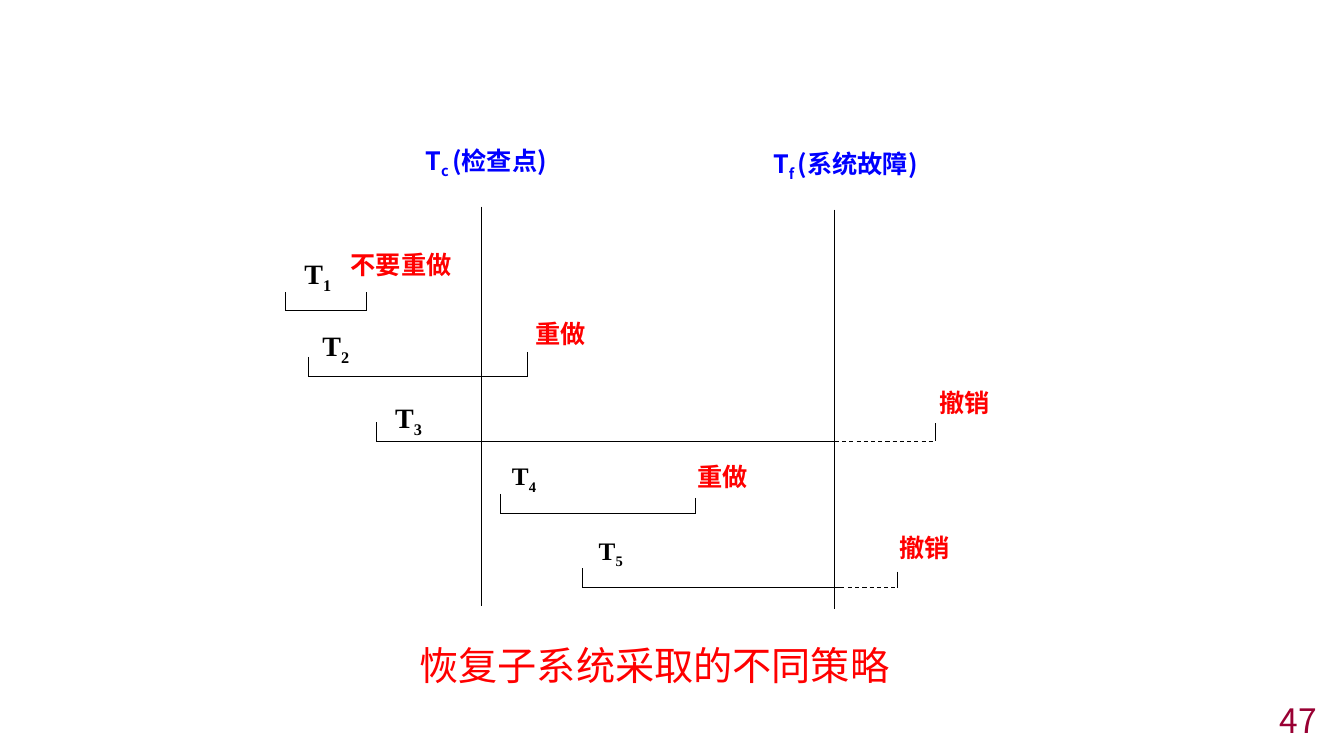
import pptx
import pptx.dml.color
import pptx.enum.dml
import pptx.enum.shapes
import pptx.enum.text
import pptx.oxml.ns
import pptx.util
from lxml import etree

SANS = "Noto Sans CJK SC"
SERIF = "Times New Roman"
BLACK, BLUE, RED, MAROON = "000000", "0000FF", "FF0000", "990033"
ALIGN = pptx.enum.text.PP_ALIGN
ANCHOR = pptx.enum.text.MSO_ANCHOR


def px(length):
    """One px is a hundredth of an inch."""
    return pptx.util.Emu(length * 9144)


def colour(value):
    return pptx.dml.color.RGBColor.from_string(value)


class Diagram:
    def __init__(self, slide):
        self.shapes = slide.shapes

    def line(self, x1, y1, x2, y2, width=0.75, dashed=False):
        connector = self.shapes.add_connector(
            pptx.enum.shapes.MSO_CONNECTOR.STRAIGHT, px(x1), px(y1), px(x2), px(y2))
        connector.line.color.rgb = colour(BLACK)
        connector.line.width = pptx.util.Pt(width)
        if dashed:
            connector.line.dash_style = pptx.enum.dml.MSO_LINE.DASH
        etree.SubElement(connector._element.spPr, pptx.oxml.ns.qn("a:effectLst"))

    def text(self, box, parts, size=18, font=SANS, fill=RED, bold=True,
             align=ALIGN.LEFT, anchor=ANCHOR.TOP):
        """Write parts in a box; every second part is a subscript."""
        frame = self.shapes.add_textbox(*map(px, box)).text_frame
        frame.word_wrap = True
        frame.vertical_anchor = anchor
        paragraph = frame.paragraphs[0]
        paragraph.alignment = align
        for position, part in enumerate(parts):
            run = paragraph.add_run()
            run.text = part
            if position % 2:
                run._r.get_or_add_rPr().set("baseline", "-25000")
        style = paragraph.font
        style.name, style.size, style.bold = font, pptx.util.Pt(size), bold
        style.color.rgb = colour(fill)
        east_asian = etree.SubElement(style._element, pptx.oxml.ns.qn("a:ea"))
        east_asian.set("typeface", font)

    def transaction(self, start, end, base, start_top, end_top, solid_end, dash_start):
        """Draw a time span with a tick at each end, dashed after the failure."""
        self.line(start, start_top, start, base)
        self.line(end, end_top, end, base)
        self.line(start, base, solid_end, base)
        if dash_start < end:
            self.line(dash_start, base, end, base, dashed=True)


def main():
    deck = pptx.Presentation()
    deck.slide_width, deck.slide_height = px(1333), px(750)
    diagram = Diagram(deck.slides.add_slide(deck.slide_layouts[6]))

    # Checkpoint and failure times
    for moment, top, bottom in ((477, 205, 601), (828, 208, 604)):
        diagram.line(moment, top, moment, bottom, width=0.5)
    diagram.text((412, 139, 156, 73), ("T", "c ", "(检查点)"), fill=BLUE, align=ALIGN.JUSTIFY)
    diagram.text((757, 142, 171, 73), ("T", "f ", "(系统故障)"), fill=BLUE, align=ALIGN.JUSTIFY)

    # Transactions: start, end, base, tick tops, end of solid part, start of dashes
    for span in (
        (283, 364, 308, 290, 290, 364, 364),
        (306, 523, 374, 354, 349, 523, 523),
        (373, 928, 438, 419, 420, 828, 828),
        (496, 690, 509, 490, 494, 690, 690),
        (578, 890, 583, 564, 567, 837, 841),
    ):
        diagram.transaction(*span)

    # Transaction names
    names = ((292, 250, 20), (310, 321, 20), (382, 392, 20), (498, 452, 18), (584, 526, 18))
    for number, (left, top, size) in enumerate(names, start=1):
        diagram.text((left, top, 83, 73), ("T", str(number)), size=size, font=SERIF, fill=BLACK)

    # Recovery actions
    for action, left, top in (
        ("不要重做", 338, 242),
        ("重做", 521, 311),
        ("撤销", 922, 379),
        ("重做", 682, 453),
        ("撤销", 882, 523),
    ):
        diagram.text((left, top, 156, 73), (action,))

    # Caption and page number
    diagram.text((350, 631, 598, 57), ("恢复子系统采取的不同策略",), size=28, bold=False,
                 align=ALIGN.CENTER)
    diagram.text((1033, 699, 283, 31), ("47",), size=24, fill=MAROON, bold=False,
                 align=ALIGN.RIGHT, anchor=ANCHOR.MIDDLE)

    deck.save("out.pptx")


if __name__ == "__main__":
    main()
